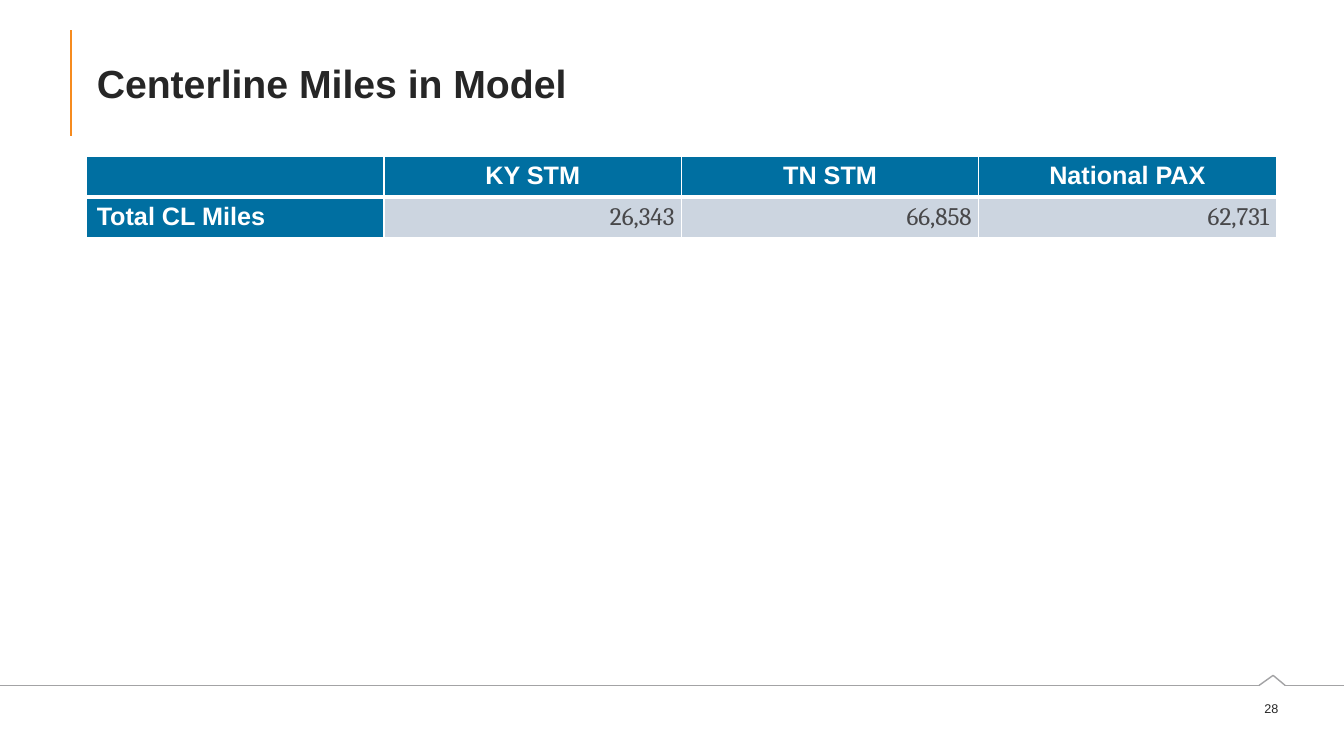
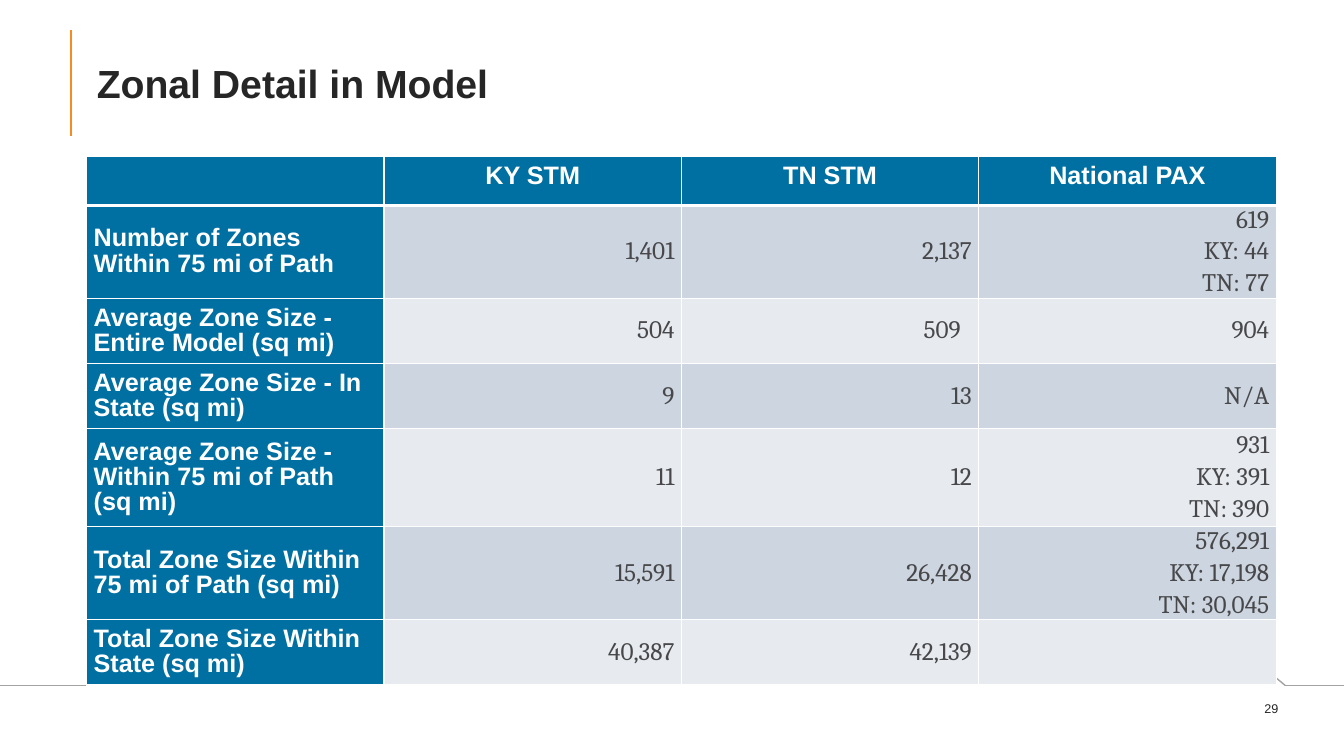
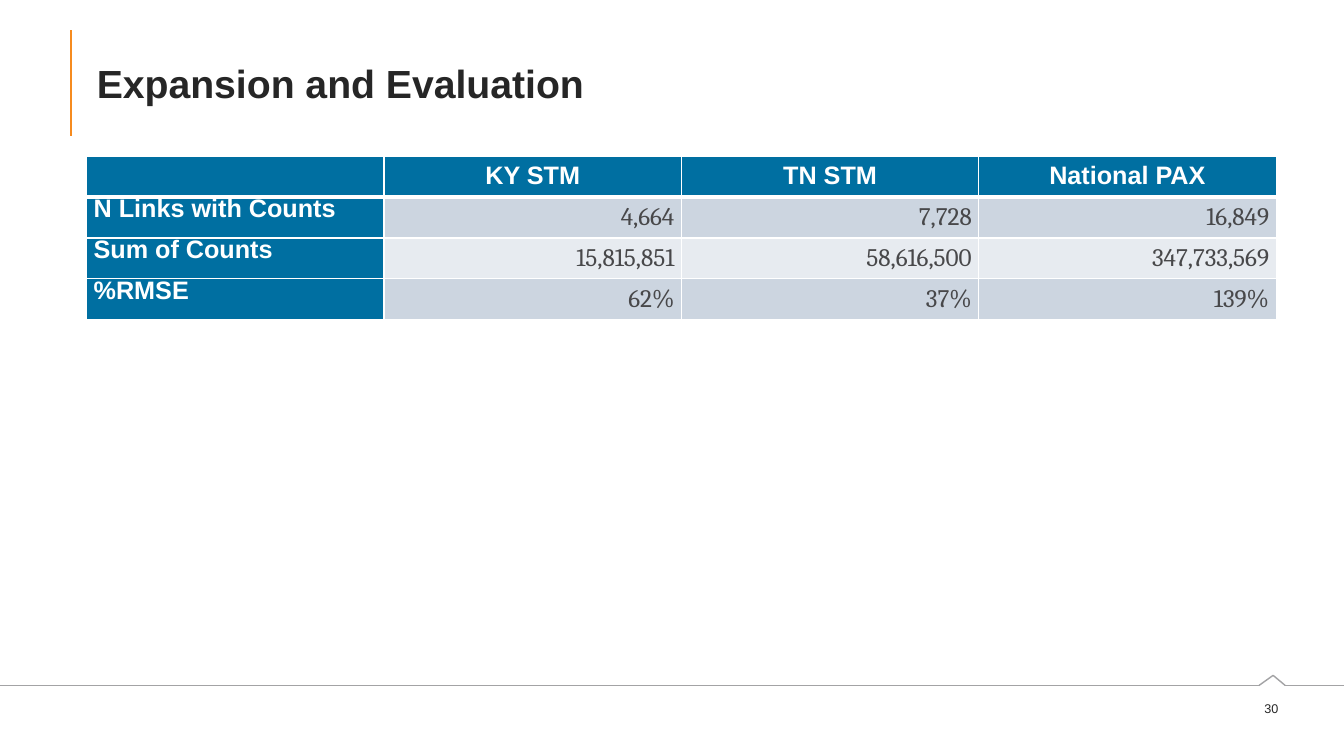
from itertools import pairwise

from lxml import etree
from pptx import Presentation
from pptx.dml.color import RGBColor
from pptx.enum.shapes import MSO_CONNECTOR
from pptx.enum.text import MSO_ANCHOR, MSO_AUTO_SIZE, PP_ALIGN
from pptx.oxml.ns import qn
from pptx.util import Pt

LEFT, CENTER, RIGHT = PP_ALIGN.LEFT, PP_ALIGN.CENTER, PP_ALIGN.RIGHT
TOP, MIDDLE = MSO_ANCHOR.TOP, MSO_ANCHOR.MIDDLE
STRAIGHT = MSO_CONNECTOR.STRAIGHT
NO_FIT = MSO_AUTO_SIZE.NONE

BLUE, WHITE, ORANGE, GRAY = "006FA1", "FFFFFF", "F68B1F", "A3A3A5"
DARK, BODY = "262626", "48484A"
BANDS = ("CCD5E0", "E7EBF0")
SANS, SERIF = "Arial", "Cambria"

FIRST_PAGE = 28
TITLE_BOX = (61.92, 21.6, 849.6, 75.6)
PAGE_BOX = (887.76, 496.8, 40.32, 18)
TABLE_LEFT, TABLE_TOP, COL_W = 61.92, 111.6, 212.4
ACCENT = [(50.4, 21.6), (50.4, 97.2)]
FOOTER_RULE = [(0, 489.6), (899.3, 489.6), (909.4, 482.4), (918, 489.6), (960, 489.6)]

ROOMY = dict(insets=(7.2, 3.6, 7.2, 3.6), tight=False)
SNUG = dict(insets=(5, 0, 5, 0), tight=True)
INDENTED = dict(insets=(5, 0, 13, 0), tight=True)

HEADER = ["", "KY STM", "TN STM", "National PAX"]
SLIDES = [
    dict(
        title="Centerline Miles in Model",
        heights=[29.2, 29.2],
        label=dict(ROOMY, anchor=TOP),
        rows=[["Total CL Miles", "26,343", "66,858", "62,731"]],
    ),
    dict(
        title="Zonal Detail in Model",
        heights=[35.2, 64, 46.6, 46.6, 70, 64, 46.6],
        label=dict(SNUG, anchor=MIDDLE),
        indented=(2, 2),
        rows=[
            ["Number of Zones Within 75 mi of Path", "1,401", "2,137",
             "619\nKY: 44\nTN: 77"],
            ["Average Zone Size - Entire Model (sq mi)", "504", "509", "904"],
            ["Average Zone Size - In State (sq mi)", "9", "13", "N/A"],
            ["Average Zone Size - Within 75 mi of Path (sq mi)", "11", "12",
             "931\nKY: 391\nTN: 390"],
            ["Total Zone Size Within 75 mi of Path (sq mi)", "15,591", "26,428",
             "576,291\nKY: 17,198\nTN: 30,045"],
            ["Total Zone Size Within State (sq mi)", "40,387", "42,139", ""],
        ],
    ),
    dict(
        title="Expansion and Evaluation",
        heights=[29.2] * 4,
        label=dict(SNUG, anchor=TOP),
        rows=[
            ["N Links with Counts", "4,664", "7,728", "16,849"],
            ["Sum of Counts", "15,815,851", "58,616,500", "347,733,569"],
            ["%RMSE", "62%", "37%", "139%"],
        ],
    ),
]


def rgb(color):
    return RGBColor.from_string(color)


def pts(values):
    return [Pt(v) for v in values]


def add_run(p, text, size, font, color, bold=False):
    r = p.add_run()
    r.text = text
    r.font.size, r.font.name, r.font.bold = Pt(size), font, bold
    r.font.color.rgb = rgb(color)


def add_path(s, points, color, width):
    lines = []
    for start, end in pairwise(points):
        line = s.shapes.add_connector(STRAIGHT, *pts(start + end))
        line.line.color.rgb = rgb(color)
        line.line.width = Pt(width)
        etree.SubElement(line.element.spPr, qn("a:effectLst"))
        lines.append(line)
    return lines


def setup_layout(layout, s):
    title = layout.placeholders[0]
    title.left, title.top, title.width, title.height = pts(TITLE_BOX)
    for line in add_path(s, ACCENT, ORANGE, 1.5) + add_path(s, FOOTER_RULE, GRAY, 1):
        layout.shapes.element.append(line.element)


def add_title(s, text):
    tf = s.shapes.title.text_frame
    tf.auto_size, tf.vertical_anchor = NO_FIT, MIDDLE
    p = tf.paragraphs[0]
    p.alignment = LEFT
    add_run(p, text, 28, SANS, DARK, True)


def add_page_number(s, number):
    tf = s.shapes.add_textbox(*pts(PAGE_BOX)).text_frame
    tf.word_wrap, tf.vertical_anchor, tf.margin_right = True, MIDDLE, Pt(15)
    p = tf.paragraphs[0]
    p.alignment = RIGHT
    add_run(p, str(number), 9, SANS, DARK)


def set_borders(cell, widths):
    tc_pr = cell._tc.get_or_add_tcPr()
    for side, width in widths.items():
        ln = etree.SubElement(tc_pr, qn(f"a:ln{side}"), w=str(Pt(width)))
        fill = etree.SubElement(ln, qn("a:solidFill"))
        etree.SubElement(fill, qn("a:srgbClr"), val=WHITE)


def fill_cell(cell, text, fill, align, anchor, insets, tight, font, color, bold):
    cell.fill.solid()
    cell.fill.fore_color.rgb = rgb(fill)
    cell.vertical_anchor = anchor
    (cell.margin_left, cell.margin_top,
     cell.margin_right, cell.margin_bottom) = pts(insets)
    tf = cell.text_frame
    for i, part in enumerate(text.split("\n")):
        p = tf.add_paragraph() if i else tf.paragraphs[0]
        p.alignment = align
        if tight:
            p.line_spacing, p.space_after = 0.9, Pt(2)
            p.space_before = Pt(2 if i else 0)
        if part:
            add_run(p, part, 18, font, color, bold)


def add_data_table(s, data):
    rows = [HEADER] + data["rows"]
    heights = data["heights"]
    cols = len(HEADER)
    table = s.shapes.add_table(
        len(rows), cols,
        *pts((TABLE_LEFT, TABLE_TOP, COL_W * cols, sum(heights)))).table
    for col in table.columns:
        col.width = Pt(COL_W)
    heading = dict(fill=BLUE, font=SANS, color=WHITE, bold=True)
    value = dict(align=RIGHT, anchor=MIDDLE, font=SERIF, color=BODY, bold=False)
    for i, row in enumerate(rows):
        table.rows[i].height = Pt(heights[i])
        for j, text in enumerate(row):
            cell = table.cell(i, j)
            set_borders(cell, dict(L=1, R=1, T=3 if i == 1 else 1,
                                   B=3 if i == 0 else 1))
            if i == 0:
                style = dict(heading, **ROOMY, align=CENTER, anchor=TOP)
            elif j == 0:
                style = dict(heading, **data["label"], align=LEFT)
            else:
                spacing = INDENTED if data.get("indented") == (i, j) else SNUG
                style = dict(value, **spacing, fill=BANDS[(i - 1) % 2])
            fill_cell(cell, text, **style)


def main():
    prs = Presentation()
    prs.slide_width, prs.slide_height = Pt(960), Pt(540)
    layout = prs.slide_layouts[5]
    for i, data in enumerate(SLIDES):
        s = prs.slides.add_slide(layout)
        if i == 0:
            setup_layout(layout, s)
        add_page_number(s, FIRST_PAGE + i)
        add_title(s, data["title"])
        add_data_table(s, data)
    prs.save("out.pptx")


if __name__ == "__main__":
    main()
